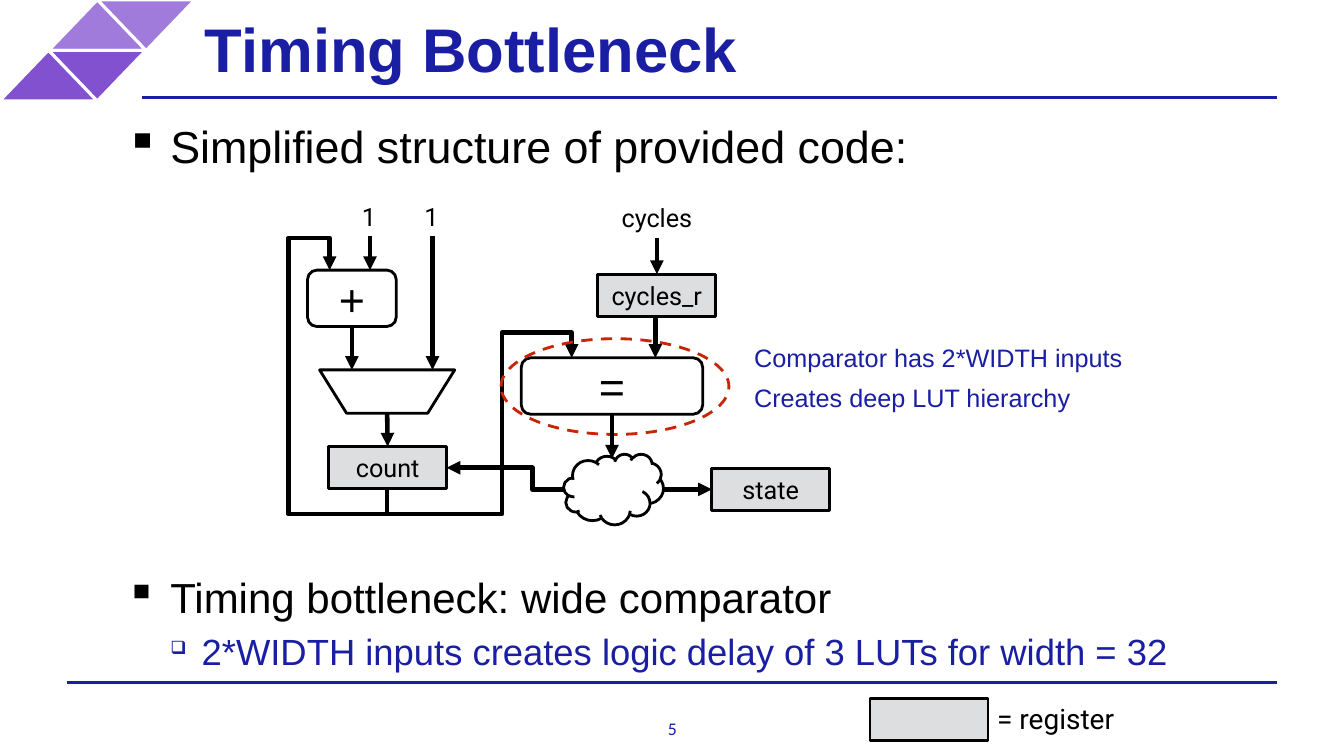
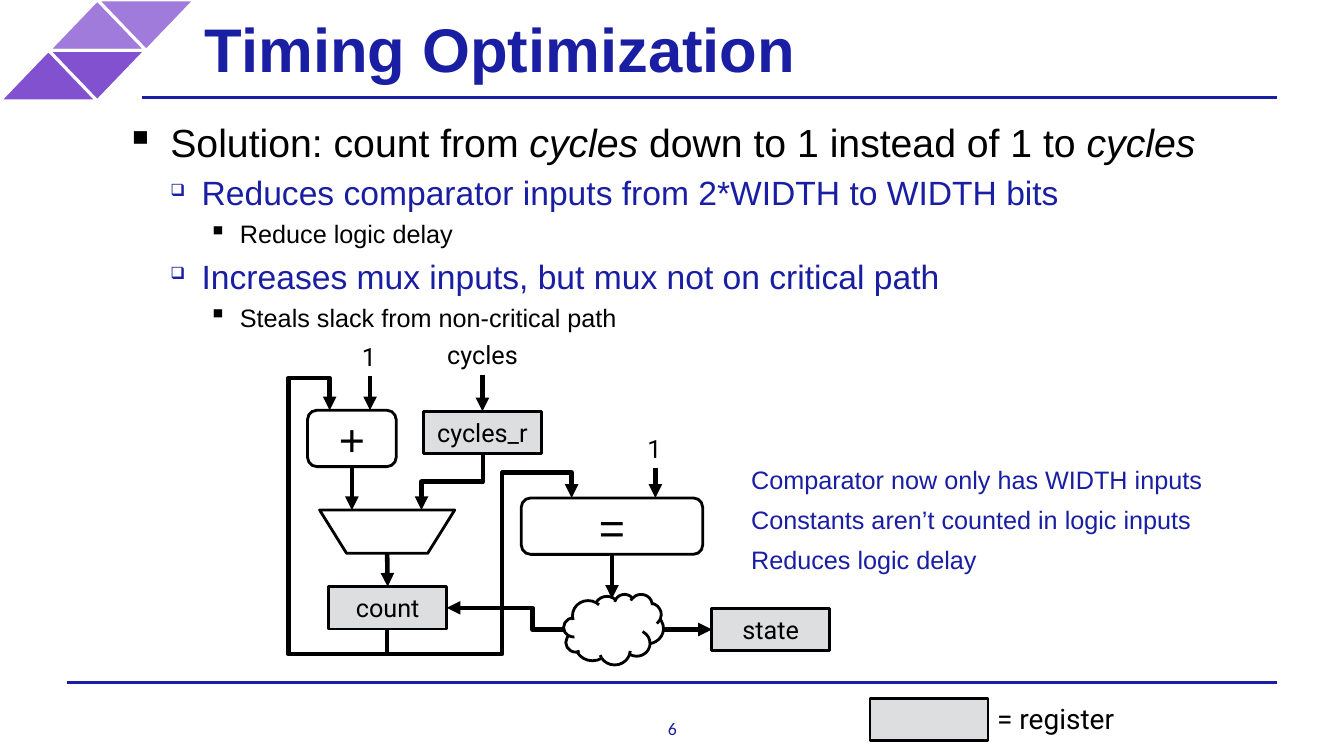
from lxml import etree
from pptx import Presentation
from pptx import util as u
from pptx.dml.color import RGBColor
from pptx.enum import dml, shapes, text
from pptx.oxml.ns import qn

NAVY = RGBColor(0x19, 0x1E, 0xA2)
VIOLET = RGBColor(0x81, 0x51, 0xCF)
LILAC = RGBColor(0xA0, 0x7B, 0xDB)
GREY = RGBColor(0xDC, 0xDE, 0xE0)
RED = RGBColor(0xC8, 0x25, 0x06)
BLACK = RGBColor(0, 0, 0)
WHITE = RGBColor(0xFF, 0xFF, 0xFF)

COLS, ROWS = 133.3, 75
CELL = u.Inches(0.1)
SPACING = 1.06
REGISTER = (11.7, 4.2)
TOP, LEFT, BOTTOM, RIGHT = range(4)
CENTER = text.PP_ALIGN.CENTER
MIDDLE = text.MSO_ANCHOR.MIDDLE
KIND = shapes.MSO_SHAPE

LEVELS = [
    dict(margin=0.5, hang=0.44, before=6, bullet="▪", scale=100, color=BLACK),
    dict(margin=0.81, hang=0.31, before=3, bullet="❑", scale=50, color=NAVY),
    dict(margin=1.19, hang=0.31, before=3, bullet="▪", scale=100, color=BLACK),
]


def grid(*cells):
    return [round(c * CELL) for c in cells]


class Deck:
    def __init__(self):
        self.prs = Presentation()
        self.prs.slide_width, self.prs.slide_height = grid(COLS, ROWS)
        self.s = None

    def slide(self, title, number):
        self.s = self.prs.slides.add_slide(self.prs.slide_layouts[6])
        self.line((6.6, 67.7), (126.7, 67.7), NAVY, 2)
        for row, color in enumerate((LILAC, VIOLET)):
            for col in (1, 0):
                x = 4.85 * (1 - row + col)
                sp = self.shape(KIND.ISOSCELES_TRIANGLE, x, 5 * row, 9.6, 5, color, WHITE)
                sp.rotation = 180 * col
        self.line((14.1, 9.7), (126.7, 9.7), NAVY, 2)
        self.label(title, 18.9, 0, 100.8, 9.5, 44, "Arial", NAVY,
                   align=None, anchor=MIDDLE, inset=1.4, bold=True)
        self.label(str(number), 65.2, 71.2, 3, 2.1, 12.7, "Calibri", NAVY, inset=0)
        self.register("", 86.3, 69.3)
        self.label("= register", 98.3, 69, 23.6, 4.5, 20, align=None,
                   anchor=MIDDLE, inset=0.6)

    def frame(self, sp, inset, anchor):
        tf = sp.text_frame
        tf.word_wrap = True
        tf.vertical_anchor = anchor
        tf.margin_left, tf.margin_top, tf.margin_right, tf.margin_bottom = grid(*[inset] * 4)
        return tf

    def style(self, p, size, font, color, bold=False):
        for r in p.runs:
            r.font.size = u.Pt(size)
            r.font.name = font
            r.font.bold = bold
            r.font.color.rgb = color

    def label(self, words, x, y, w, h, size=18, font="Roboto", color=BLACK,
              align=CENTER, anchor=text.MSO_ANCHOR.TOP, inset=0.5, bold=False):
        sp = self.s.shapes.add_textbox(*grid(x, y, w, h))
        tf = self.frame(sp, inset, anchor)
        tf.text = words
        tf.paragraphs[0].alignment = align
        self.style(tf.paragraphs[0], size, font, color, bold)

    def shape(self, kind, x, y, w, h, fill=WHITE, line=BLACK, words="", size=18, font="Arial"):
        sp = self.s.shapes.add_shape(kind, *grid(x, y, w, h))
        sp.shadow.inherit = False
        if fill is None:
            sp.fill.background()
        else:
            sp.fill.solid()
            sp.fill.fore_color.rgb = fill
        sp.line.color.rgb = line
        sp.line.width = u.Pt(2)
        if words:
            tf = self.frame(sp, 0.6, MIDDLE)
            tf.text = words
            tf.paragraphs[0].alignment = CENTER
            self.style(tf.paragraphs[0], size, font, BLACK)
        return sp

    def register(self, words, x, y):
        return self.shape(KIND.RECTANGLE, x, y, *REGISTER, GREY, words=words, font="Roboto")

    def operator(self, sign, x, y, w):
        return self.shape(KIND.ROUNDED_RECTANGLE, x, y, w, 5.6, words=sign, size=32)

    def line(self, start, end, color=BLACK, width=3.25, kind=shapes.MSO_CONNECTOR.STRAIGHT):
        sp = self.s.shapes.add_connector(kind, *grid(*start, *end))
        sp.line.color.rgb = color
        sp.line.width = u.Pt(width)
        etree.SubElement(sp._element.spPr, qn("a:effectLst"))
        return sp

    def arrow(self, start, end, begin_at=None, end_at=None, **options):
        sp = self.line(start, end, **options)
        etree.SubElement(sp.line._get_or_add_ln(), qn("a:tailEnd"), type="triangle")
        if begin_at:
            sp.begin_connect(*begin_at)
        if end_at:
            sp.end_connect(*end_at)
        return sp

    def elbow(self, start, end, *bends, vertical=True):
        sp = self.arrow(start, end, kind=shapes.MSO_CONNECTOR.ELBOW)
        dx, dy = end[0] - start[0], end[1] - start[1]
        w, h = (abs(dy), abs(dx)) if vertical else (abs(dx), abs(dy))
        flip_h, flip_v = (dy < 0, dx > 0) if vertical else (dx > 0, dy > 0)
        mid_x, mid_y = (start[0] + end[0]) / 2, (start[1] + end[1]) / 2
        sp.left, sp.top, sp.width, sp.height = grid(mid_x - w / 2, mid_y - h / 2, w, h)
        xfrm = sp._element.spPr.find(qn("a:xfrm"))
        for name, value in (("flipH", flip_h), ("flipV", flip_v)):
            xfrm.set(name, str(int(value)))
        xfrm.set("rot", str((90 if vertical else 180) * 60000))
        geom = sp._element.spPr.find(qn("a:prstGeom"))
        geom.set("prst", f"bentConnector{len(bends) + 2}")
        av = geom.find(qn("a:avLst"))
        if av is None:
            av = etree.SubElement(geom, qn("a:avLst"))
        for i, bend in enumerate(bends):
            axis = (i + vertical) % 2
            share = (bend - start[axis]) / (end[axis] - start[axis])
            etree.SubElement(av, qn("a:gd"), name=f"adj{i + 1}",
                             fmla=f"val {round(share * 100000)}")

    def bullets(self, y, h, items):
        sp = self.s.shapes.add_textbox(*grid(11.9, y, 119.4, h))
        tf = self.frame(sp, 0, text.MSO_ANCHOR.TOP)
        for i, (level, size, words) in enumerate(items):
            p = tf.add_paragraph() if i else tf.paragraphs[0]
            look = LEVELS[level]
            for j, part in enumerate(words.split("|")):
                if part:
                    r = p.add_run()
                    r.text = part
                    r.font.italic = j % 2 == 1
            self.style(p, size, "Arial", look["color"])
            p.level = level
            p.line_spacing = SPACING
            p.space_before = u.Pt(look["before"])
            pPr = p._p.get_or_add_pPr()
            pPr.set("marL", str(u.Inches(look["margin"])))
            pPr.set("indent", str(-u.Inches(look["hang"])))
            etree.SubElement(pPr, qn("a:buSzPct"), val=str(look["scale"] * 1000))
            etree.SubElement(pPr, qn("a:buChar"), char=look["bullet"])

    def remarks(self, x, y, w, h, lines):
        sp = self.s.shapes.add_textbox(*grid(x, y, w, h))
        tf = self.frame(sp, 0.6, MIDDLE)
        tf.text = "\n".join(lines)
        for p in tf.paragraphs:
            p.line_spacing = SPACING
            p.space_before = u.Pt(6)
            p._p.get_or_add_pPr().set("marL", str(u.Inches(0.06)))
            self.style(p, 18, "Arial", NAVY)

    def cycles_input(self, x, y):
        sp = self.register("cycles_r", x, y)
        mid = x + REGISTER[0] / 2
        self.arrow((mid, y - 3.6), (mid, y), end_at=(sp, TOP))
        self.label("cycles", mid - 6.1, y - 7.6, 12.2, 4)

    def one_input(self, x, y, length):
        self.arrow((x, y), (x, y + length))
        self.label("1", x - 5, y - 3.9, 9.8, 4)

    def counter(self, y, circled=False):
        count = self.register("count", 32.6, y + 17.5)
        equal = self.operator("=", 51.7, y + 8.7, 18)
        plus = self.operator("+", 30.5, y, 8.8)
        self.shape(KIND.FLOWCHART_MANUAL_OPERATION, 31.7, y + 9.9, 13.4, 4.3)
        state = self.register("state", 70.6, y + 19.65)
        out, loop = y + 21.7, y + 24.2
        self.elbow((38.4, out), (56.7, y + 8.7), loop, 49.8, y + 6.2)
        self.elbow((38.4, out), (32.7, y), loop, 28.6, y - 3.2)
        self.arrow((38.4, y + 14.2), (38.4, y + 17.5), end_at=(count, TOP))
        self.arrow((34.9, y + 5.6), (34.9, y + 9.9), begin_at=(plus, BOTTOM))
        self.one_input(36.7, y - 3.4, 3.4)
        if circled:
            sp = self.shape(KIND.OVAL, 49.7, y + 6.8, 22.6, 9.5, None, RED)
            sp.line.dash_style = dml.MSO_LINE.DASH
        self.shape(KIND.CLOUD, 55.9, y + 18.25, 9.9, 7)
        self.arrow((60.7, y + 14.3), (60.7, y + 18.7), begin_at=(equal, BOTTOM))
        self.elbow((55.9, y + 21.75), (44.3, y + 19.6), 52.8, vertical=False)
        self.arrow((65.7, y + 21.75), (70.6, y + 21.75), end_at=(state, LEFT))


def main():
    deck = Deck()

    deck.slide("Timing Bottleneck", 5)
    deck.bullets(11.5, 6, [(0, 32, "Simplified structure of provided code:")])
    y = 26.8
    deck.cycles_input(59.3, y + 0.4)
    deck.arrow((65, y + 4.6), (65, y + 8.7))
    deck.counter(y, circled=True)
    deck.one_input(42.9, y - 3.4, 13.3)
    deck.remarks(73.6, 33.2, 50.5, 8.3, ["Comparator has 2*WIDTH inputs",
                                         "Creates deep LUT hierarchy"])
    deck.bullets(56.4, 10, [
        (0, 30, "Timing bottleneck: wide comparator"),
        (1, 26, "2*WIDTH inputs creates logic delay of 3 LUTs for width = 32"),
    ])

    deck.slide("Timing Optimization", 6)
    deck.bullets(11.5, 21, [
        (0, 28, "Solution: count from |cycles| down to 1 instead of 1 to |cycles|"),
        (1, 24, "Reduces comparator inputs from 2*WIDTH to WIDTH bits"),
        (2, 18, "Reduce logic delay"),
        (1, 24, "Increases mux inputs, but mux not on critical path"),
        (2, 18, "Steals slack from non-critical path"),
    ])
    y = 40.7
    deck.cycles_input(42, y + 0.1)
    deck.elbow((47.9, y + 4.3), (41.8, y + 9.9), y + 7.1)
    deck.counter(y)
    deck.one_input(65, y + 5.7, 3)
    deck.remarks(73.3, 44.1, 49.5, 14.7, ["Comparator now only has WIDTH inputs",
                                          "Constants aren’t counted in logic inputs",
                                          "Reduces logic delay"])

    deck.prs.save("out.pptx")


if __name__ == "__main__":
    main()
